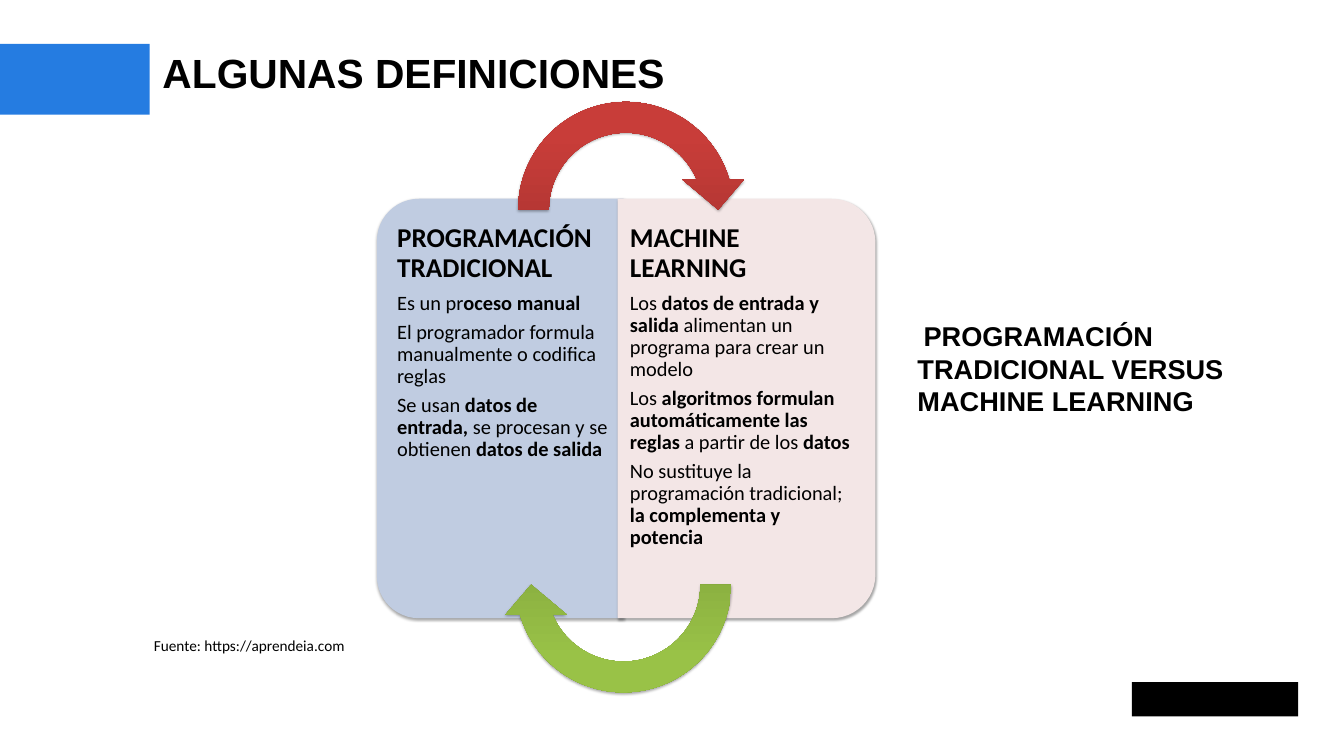
from dataclasses import dataclass

from lxml import etree
from pptx import Presentation
from pptx import util as u
from pptx.dml.color import RGBColor
from pptx.enum import shapes, text
from pptx.oxml import ns

SLIDE_W, SLIDE_H = u.Inches(21.99), u.Inches(12.37)
COL, ROW = SLIDE_W / 220, SLIDE_H / 124  # grid of 220 columns by 124 rows

BLACK = RGBColor(0x00, 0x00, 0x00)
ACCENT = RGBColor(0x25, 0x7C, 0xE1)
PALE_BLUE = RGBColor(0xC0, 0xCC, 0xE1)
PALE_PINK = RGBColor(0xF3, 0xE6, 0xE6)
RED_DARK, RED = RGBColor(0x98, 0x2D, 0x2B), RGBColor(0xC8, 0x3D, 0x39)
GREEN_DARK, GREEN = RGBColor(0x75, 0x93, 0x36), RGBColor(0x99, 0xC2, 0x47)

# Each paragraph is a list of (words, bold) runs; the first one is the heading
TRADITIONAL = [
    [("PROGRAMACIÓN TRADICIONAL", True)],
    [("Es un pr", False), ("oceso manual", True)],
    [("El programador formula manualmente o codifica reglas", False)],
    [("Se usan ", False), ("datos de entrada,", True),
     (" se procesan y se obtienen ", False), ("datos de salida", True)],
]
LEARNING = [
    [("MACHINE LEARNING", True)],
    [("Los ", False), ("datos de entrada y salida ", True),
     ("alimentan un programa para crear un modelo", False)],
    [("Los ", False), ("algoritmos formulan automáticamente las reglas", True),
     (" a partir de los ", False), ("datos", True)],
    [("No sustituye la programación tradicional; ", False),
     ("la complementa y potencia", True)],
]


@dataclass
class Box:
    """An area in grid columns and rows."""
    col: float
    row: float
    cols: float
    rows: float

    def inner(self, col, row, cols, rows):
        return Box(self.col + col, self.row + row, cols, rows)

    def emu(self):
        return (u.Emu(round(self.col * COL)), u.Emu(round(self.row * ROW)),
                u.Emu(round(self.cols * COL)), u.Emu(round(self.rows * ROW)))


def add_run(paragraph, words, size, font="Calibri", bold=False):
    run = paragraph.add_run()
    run.text = words
    run.font.size, run.font.name, run.font.bold = u.Pt(size), font, bold
    run.font.color.rgb = BLACK


def set_frame(frame, insets):
    frame.word_wrap = True
    frame.auto_size = text.MSO_AUTO_SIZE.NONE
    frame.vertical_anchor = text.MSO_ANCHOR.TOP
    (frame.margin_left, frame.margin_top,
     frame.margin_right, frame.margin_bottom) = map(u.Inches, insets)
    return frame


def add_text(slide, box, insets=(0.1, 0.05, 0.1, 0.05)):
    return set_frame(slide.shapes.add_textbox(*box.emu()).text_frame, insets)


def add_plain(slide, kind, bounds, color=None):
    shape = slide.shapes.add_shape(kind, *bounds)
    if color is not None:
        shape.fill.solid()
        shape.fill.fore_color.rgb = color
    shape.line.fill.background()
    shape.shadow.inherit = False
    return shape


def add_shadow(shape):
    effects = shape._element.spPr.find(ns.qn("a:effectLst"))
    shadow = etree.SubElement(
        effects, ns.qn("a:outerShdw"), blurRad=str(u.Pt(3.1)),
        dist=str(u.Pt(1.8)), dir="5400000", rotWithShape="0")
    black = etree.SubElement(shadow, ns.qn("a:srgbClr"), val=str(BLACK))
    etree.SubElement(black, ns.qn("a:alpha"), val="35000")


def header(slide, box):
    # Accent bar, then the title to its right
    add_plain(slide, shapes.MSO_SHAPE.RECTANGLE,
              box.inner(0, 0, 24.5, 11.6).emu(), ACCENT)
    title = slide.shapes.title
    title.left, title.top, title.width, title.height = (
        box.inner(26.6, 0.6, 185.9, 8.1).emu())
    paragraph = set_frame(title.text_frame, (0, 0, 0, 0)).paragraphs[0]
    paragraph.alignment = text.PP_ALIGN.LEFT
    add_run(paragraph, "ALGUNAS DEFINICIONES", 48, "Arial", True)


def panel(slide, box, rotation, color):
    # The rounded end faces sideways, so the unrotated shape swaps its sides
    left, top, width, height = box.emu()
    shift = (width - height) // 2
    card = add_plain(slide, shapes.MSO_SHAPE.ROUND_2_SAME_RECTANGLE,
                     (left + shift, top - shift, height, width), color)
    card.adjustments[0], card.adjustments[1] = 0.17, 0
    card.rotation = rotation
    add_shadow(card)


def panel_text(slide, box, insets, paragraphs):
    frame = add_text(slide, box, insets)
    for i, runs in enumerate(paragraphs):
        paragraph = frame.paragraphs[0] if i == 0 else frame.add_paragraph()
        paragraph.line_spacing = 0.9
        if i:
            paragraph.space_before = u.Pt(11.2 if i == 1 else 8.4)
        for words, bold in runs:
            add_run(paragraph, words, 24 if i else 32, bold=bold)


def cycle_arrow(slide, box, rotation, dark, light):
    left, top, size, _ = box.emu()
    arrow = add_plain(slide, shapes.MSO_SHAPE.CIRCULAR_ARROW,
                      (left, top, size, size))
    # Band width, head angle, end angle, start angle, head width
    for i, value in enumerate((0.125, 11.42, 204.58, 108, 0.125)):
        arrow.adjustments[i] = value
    arrow.rotation = rotation
    arrow.fill.gradient()
    arrow.fill.gradient_angle = 90
    for stop, position, color in zip(arrow.fill.gradient_stops,
                                     (0, 0.8), (dark, light)):
        stop.position, stop.color.rgb = position, color
    add_shadow(arrow)


def comparison(slide, box):
    # Two panels with their text
    panel(slide, box.inner(0, 18.4, 40.4, 68.8), 270, PALE_BLUE)
    panel_text(slide, box.inner(2, 20.4, 38.4, 64.8),
               (0.13, 0.22, 0.2, 0.22), TRADITIONAL)
    panel(slide, box.inner(39.4, 18.4, 42.2, 68.8), 90, PALE_PINK)
    panel_text(slide, box.inner(39.4, 20.4, 40.1, 64.8),
               (0.2, 0.22, 0.13, 0.22), LEARNING)
    # Arrows closing the cycle
    cycle_arrow(slide, box.inner(20.6, 0, 40.3, 40.4), 0, RED_DARK, RED)
    cycle_arrow(slide, box.inner(20.2, 61.5, 40.3, 40.4), 180,
                GREEN_DARK, GREEN)


def topic(slide, box):
    frame = add_text(slide, box)
    first = frame.paragraphs[0]
    first._p.get_or_add_pPr().set("indent", str(u.Inches(0.1)))
    add_run(first, "PROGRAMACIÓN TRADICIONAL VERSUS", 32, "Arial", True)
    add_run(frame.add_paragraph(), "MACHINE LEARNING", 32, "Arial", True)


def footer(slide, box):
    # Source on the left, plain mark on the right
    source = add_text(slide, box.inner(0, 0, 33.9, 4))
    add_run(source.paragraphs[0], "Fuente: https://aprendeia.com", 18)
    add_plain(slide, shapes.MSO_SHAPE.RECTANGLE,
              box.inner(161.1, 8.1, 27.2, 5.6).emu(), BLACK)


def main():
    deck = Presentation()
    deck.slide_width, deck.slide_height = SLIDE_W, SLIDE_H
    slide = deck.slides.add_slide(deck.slide_layouts.get_by_name("Title Only"))
    header(slide, Box(0, 7.2, 212.5, 11.6))
    comparison(slide, Box(61.7, 14.2, 81.6, 101.9))
    topic(slide, Box(149.2, 51.9, 52.8, 25))
    footer(slide, Box(24.2, 103.8, 188.3, 13.7))
    deck.save("out.pptx")


if __name__ == "__main__":
    main()
